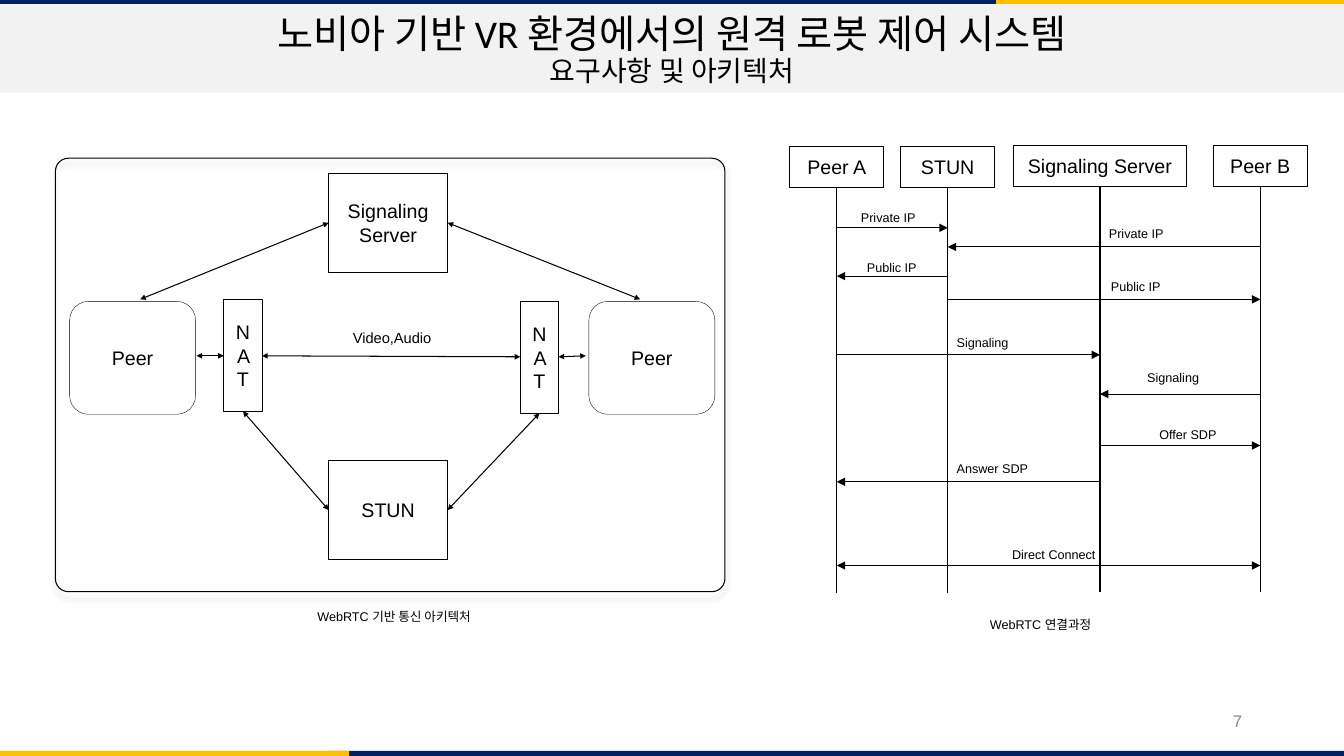
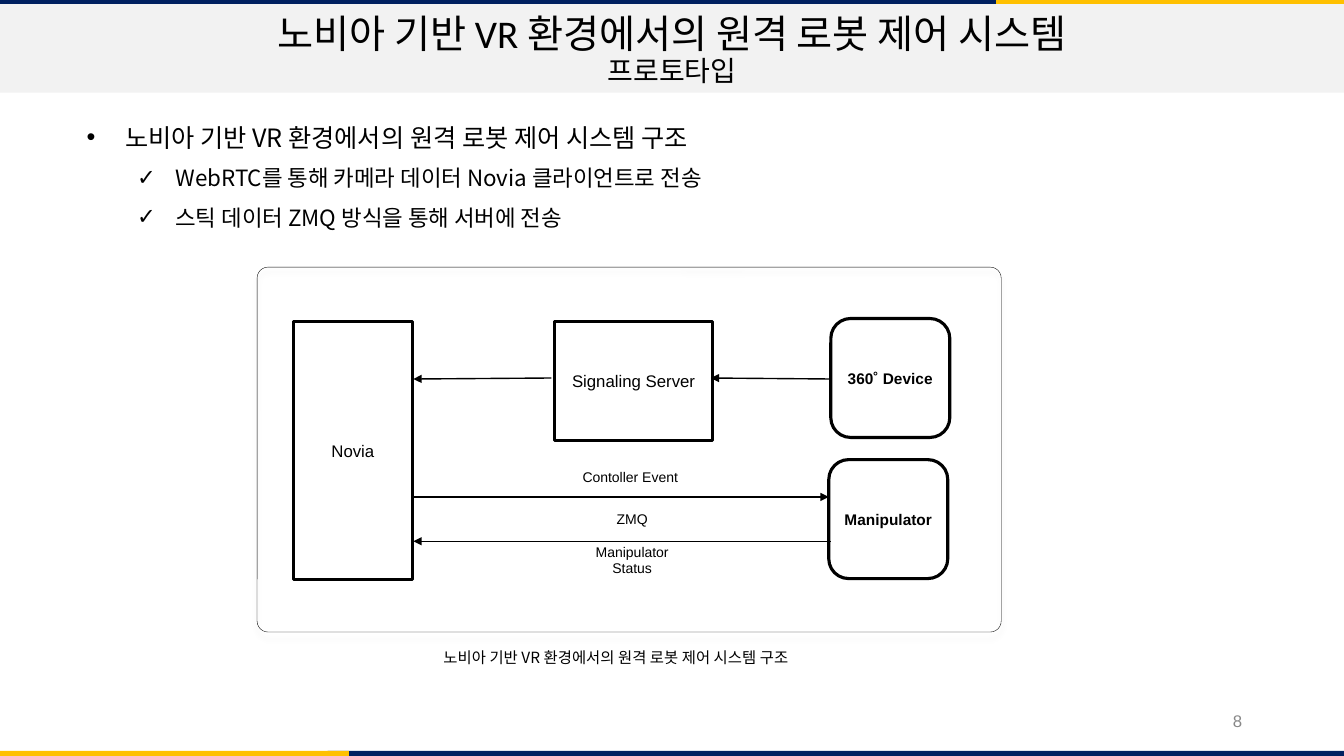
import dataclasses

import pptx
import pptx.dml.color
import pptx.enum.shapes
import pptx.enum.text
import pptx.oxml
import pptx.oxml.ns
import pptx.util
from pptx.util import Inches

SHAPE = pptx.enum.shapes.MSO_SHAPE
ALIGN = pptx.enum.text.PP_ALIGN
ANCHOR = pptx.enum.text.MSO_ANCHOR
NS = pptx.oxml.ns.nsdecls("a")


@dataclasses.dataclass(frozen=True)
class Theme:
    navy: str = "002060"
    gold: str = "FFC000"
    band: str = "F2F2F2"
    ink: str = "000000"
    paper: str = "FFFFFF"
    muted: str = "888888"
    latin: str = "Arial"
    title_font: str = "Calibri"
    korean: str = "Noto Sans CJK KR"
    title: float = 28
    subtitle: float = 20
    bullet: float = 18
    sub_bullet: float = 16
    node: float = 14
    box: float = 12
    device: float = 11
    link: float = 10.5
    label: float = 10
    caption: float = 9


THEME = Theme()
SYSTEM = "노비아 기반 VR 환경에서의 원격 로봇 제어 시스템"


def rgb(value):
    return pptx.dml.color.RGBColor.from_string(value)


def apply(target, values):
    for name, value in values.items():
        setattr(target, name, value)


def add_xml(parent, xml):
    parent.append(pptx.oxml.parse_xml(xml))


class Deck:
    def __init__(self):
        self.prs = pptx.Presentation()
        apply(self.prs, {"slide_width": Inches(13.33), "slide_height": Inches(7.5)})

    def new_slide(self, subtitle, number, layout):
        self.s = self.prs.slides.add_slide(self.prs.slide_layouts[layout])
        if len(self.prs.slides) == 1:
            self.master_bands()
        self.title(subtitle)
        self.label(str(number), (9.42, 6.95, 3, 0.4), size=THEME.box, color=THEME.muted,
                   align=ALIGN.RIGHT, anchor=ANCHOR.MIDDLE)

    def master_bands(self):
        """Draw the bands and move them to the master, behind every slide."""
        bands = [
            ((3.25, 7.45, 10.1, 0.05), THEME.navy),
            ((0, 7.45, 3.46, 0.05), THEME.gold),
            ((-0.01, -0.01, 10.1, 0.05), THEME.navy),
            ((9.88, -0.01, 3.46, 0.05), THEME.gold),
            ((0, 0.04, 13.33, 0.88), THEME.band),
        ]
        tree = self.prs.slide_master.element.cSld.spTree
        for i, (at, color) in enumerate(bands):
            band = self.box("", at, fill=color, line=None).element
            band.nvSpPr.cNvPr.id = 100 + i
            tree.insert(2 + i, band)

    def frame_text(self, shape, anchor, inset=0.1):
        tf = shape.text_frame
        apply(tf, {
            "word_wrap": True, "auto_size": pptx.enum.text.MSO_AUTO_SIZE.NONE,
            "vertical_anchor": anchor,
            "margin_left": Inches(inset), "margin_right": Inches(inset),
            "margin_top": Inches(0.05), "margin_bottom": Inches(0.05),
        })
        return tf

    def run(self, p, text, size, font=THEME.latin, color=THEME.ink, bold=False):
        r = p.add_run()
        r.text = text
        apply(r.font, {"size": pptx.util.Pt(size), "name": font, "bold": bold})
        r.font.color.rgb = rgb(color)
        add_xml(r._r.get_or_add_rPr(), f'<a:ea {NS} typeface="{THEME.korean}"/>')

    def place(self, shape, at):
        apply(shape, dict(zip(("left", "top", "width", "height"), map(Inches, at))))

    def title(self, subtitle):
        shape = self.s.shapes.title
        self.place(shape, (1.43, -0.8, 10.47, 2.61))
        tf = self.frame_text(shape, ANCHOR.MIDDLE)
        for i, (text, size) in enumerate([(SYSTEM, THEME.title), (subtitle, THEME.subtitle)]):
            p = tf.add_paragraph() if i else tf.paragraphs[0]
            apply(p, {"alignment": ALIGN.CENTER, "line_spacing": 0.9})
            self.run(p, text, size, THEME.title_font)

    def bullets(self, items, at):
        shape = self.s.placeholders[1]
        self.place(shape, at)
        tf = self.frame_text(shape, ANCHOR.TOP)
        styles = [("•", 0.5, THEME.bullet), ("✓", 1, THEME.sub_bullet)]
        for i, (level, text) in enumerate(items):
            p = tf.add_paragraph() if i else tf.paragraphs[0]
            mark, indent, size = styles[level]
            pPr = p._p.get_or_add_pPr()
            pPr.set("marL", str(Inches(indent)))
            pPr.set("indent", str(Inches(-0.38)))
            add_xml(pPr, f'<a:buClr {NS}><a:srgbClr val="{THEME.ink}"/></a:buClr>')
            add_xml(pPr, f'<a:buFont {NS} typeface="{THEME.latin}"/>')
            add_xml(pPr, f'<a:buChar {NS} char="{mark}"/>')
            apply(p, {"level": level, "line_spacing": 1.2,
                      "space_before": pptx.util.Pt(5 if i else 0)})
            self.run(p, text, size, THEME.korean)

    def label(self, text, at, size=THEME.caption, font=THEME.latin, color=THEME.ink,
              align=ALIGN.LEFT, anchor=ANCHOR.TOP):
        tf = self.frame_text(self.s.shapes.add_textbox(*map(Inches, at)), anchor)
        tf.paragraphs[0].alignment = align
        self.run(tf.paragraphs[0], text, size, font, color)

    def box(self, text, at, kind=SHAPE.RECTANGLE, size=THEME.node, fill=None,
            line=THEME.ink, weight=0.75, bold=False, inset=0.05):
        shape = self.s.shapes.add_shape(kind, *map(Inches, at))
        shape.shadow.inherit = False
        if fill:
            shape.fill.solid()
            shape.fill.fore_color.rgb = rgb(fill)
        else:
            shape.fill.background()
        if line:
            shape.line.color.rgb = rgb(line)
            shape.line.width = pptx.util.Pt(weight)
        else:
            shape.line.fill.background()
        if text:
            tf = self.frame_text(shape, ANCHOR.MIDDLE, inset)
            tf.paragraphs[0].alignment = ALIGN.CENTER
            self.run(tf.paragraphs[0], text, size, bold=bold)
        return shape

    def panel(self, at, weight):
        """Rounded outline with a soft shadow below it."""
        shape = self.box("", at, SHAPE.ROUNDED_RECTANGLE, weight=weight)
        shape.adjustments[0] = 0.03
        effects = shape.element.spPr.find(pptx.oxml.ns.qn("a:effectLst"))
        add_xml(effects, f'<a:outerShdw {NS} blurRad="50800" dist="50800" dir="5400000">'
                         f'<a:srgbClr val="{THEME.ink}"><a:alpha val="23000"/></a:srgbClr>'
                         '</a:outerShdw>')

    def line(self, start, end, ends=(), weight=0.75, head_size="med"):
        """Straight line; ends names the arrowheads: headEnd, tailEnd."""
        c = self.s.shapes.add_connector(pptx.enum.shapes.MSO_CONNECTOR.STRAIGHT,
                                        *map(Inches, (*start, *end)))
        c.line.color.rgb = rgb(THEME.ink)
        c.line.width = pptx.util.Pt(weight)
        for end_name in ends:
            add_xml(c.line._get_or_add_ln(), f'<a:{end_name} {NS} type="triangle" '
                                             f'w="{head_size}" len="{head_size}"/>')
        add_xml(c.element.spPr, f'<a:effectLst {NS}/>')


TO = ("tailEnd",)
BOTH = ("headEnd", "tailEnd")


def connection_sequence(deck):
    lifelines = {
        "Peer A": (8.3, 1.45, 0.93),
        "STUN": (9.4, 1.45, 0.93),
        "Signaling Server": (10.91, 1.44, 1.71),
        "Peer B": (12.5, 1.44, 0.93),
    }
    for name, (x, top, width) in lifelines.items():
        deck.box(name, (x - width / 2, top, width, 0.41))
        deck.line((x, top + 0.41), (x, top + 4.43))

    messages = [
        ("Peer A", "STUN", 2.26, "Private IP", 8.44, 2.03),
        ("Peer B", "STUN", 2.45, "Private IP", 10.9, 2.19),
        ("STUN", "Peer A", 2.74, "Public IP", 8.5, 2.53),
        ("STUN", "Peer B", 2.97, "Public IP", 10.92, 2.72),
        ("Peer A", "Signaling Server", 3.52, "Signaling", 9.39, 3.27),
        ("Peer B", "Signaling Server", 3.91, "Signaling", 11.28, 3.62),
        ("Signaling Server", "Peer B", 4.42, "Offer SDP", 11.4, 4.19),
        ("Signaling Server", "Peer A", 4.78, "Answer SDP", 9.39, 4.52),
        ("Peer A", "Peer B", 5.61, "Direct Connect", 9.94, 5.38),
    ]
    for source, target, y, text, left, top in messages:
        ends = BOTH if text == "Direct Connect" else TO
        deck.line((lifelines[source][0], y), (lifelines[target][0], y), ends)
        deck.label(text, (left, top, 1.2, 0.25))
    deck.label("WebRTC 연결과정", (9.72, 6.07, 1.96, 0.25))


def communication_architecture(deck):
    deck.panel((0.55, 1.57, 6.64, 4.3), 0.75)
    for name, top in [("Signaling Server", 1.72), ("STUN", 4.57)]:
        deck.box(name, (3.26, top, 1.18, 0.98))
    for left, top in [(2.22, 2.97), (5.16, 2.99)]:
        deck.box("NAT", (left, top, 0.38, 1.11), inset=0.1)
    for left in (0.69, 5.84):
        deck.box("Peer", (left, 2.99, 1.25, 1.12), SHAPE.ROUNDED_RECTANGLE, weight=0.25)
    links = [
        ((1.39, 2.97), (3.26, 2.21)), ((4.44, 2.21), (6.35, 2.97)),
        ((2.6, 3.53), (5.16, 3.54)), ((2.41, 4.08), (3.26, 5.06)),
        ((4.44, 5.06), (5.35, 4.1)), ((5.81, 3.53), (5.54, 3.54)),
        ((2.22, 3.53), (1.95, 3.53)),
    ]
    for start, end in links:
        deck.line(start, end, BOTH, head_size="sm")
    deck.label("Video,Audio", (3.34, 3.21, 1.1, 0.28), THEME.link, align=ALIGN.CENTER)
    deck.label("WebRTC 기반 통신 아키텍처", (3.05, 5.99, 2.29, 0.3))


def prototype_structure(deck):
    deck.panel((2.55, 2.65, 7.38, 3.62), 0.25)
    for text, at in [("Manipulator Status", (5.8, 5.38, 0.94, 0.35)),
                     ("Contoller Event", (5.59, 4.56, 1.32, 0.35)),
                     ("ZMQ", (5.61, 4.97, 1.32, 0.35))]:
        deck.box(text, at, size=THEME.label, fill=THEME.paper, line=THEME.paper, weight=2)
    for text, at in [("Novia", (2.91, 3.19, 1.18, 2.56)),
                     ("Signaling Server", (5.5, 3.19, 1.57, 1.18))]:
        deck.box(text, at, size=THEME.box, fill=THEME.paper, weight=2)
    for text, left, top in [("360˚ Device", 8.24, 3.16), ("Manipulator", 8.22, 4.56)]:
        deck.box(text, (left, top, 1.18, 1.18), SHAPE.ROUNDED_RECTANGLE, THEME.device,
                 weight=2.25, bold=True)
    for start, end in [((8.24, 3.76), (7.05, 3.75)), ((5.47, 3.75), (4.1, 3.76)),
                       ((8.24, 5.37), (4.1, 5.37)), ((4.1, 4.93), (8.22, 4.93))]:
        deck.line(start, end, TO, weight=1)
    deck.label(SYSTEM + " 구조", (4.3, 6.38, 4.17, 0.29), THEME.device, THEME.korean)


def main():
    deck = Deck()
    deck.new_slide("요구사항 및 아키텍처", 7, layout=5)
    connection_sequence(deck)
    communication_architecture(deck)

    deck.new_slide("프로토타입", 8, layout=1)
    deck.bullets([
        (0, SYSTEM + " 구조"),
        (1, "WebRTC를 통해 카메라 데이터 Novia 클라이언트로 전송"),
        (1, "스틱 데이터 ZMQ 방식을 통해 서버에 전송"),
    ], (0.64, 1.1, 11.5, 5.46))
    prototype_structure(deck)
    deck.prs.save("out.pptx")


if __name__ == "__main__":
    main()
